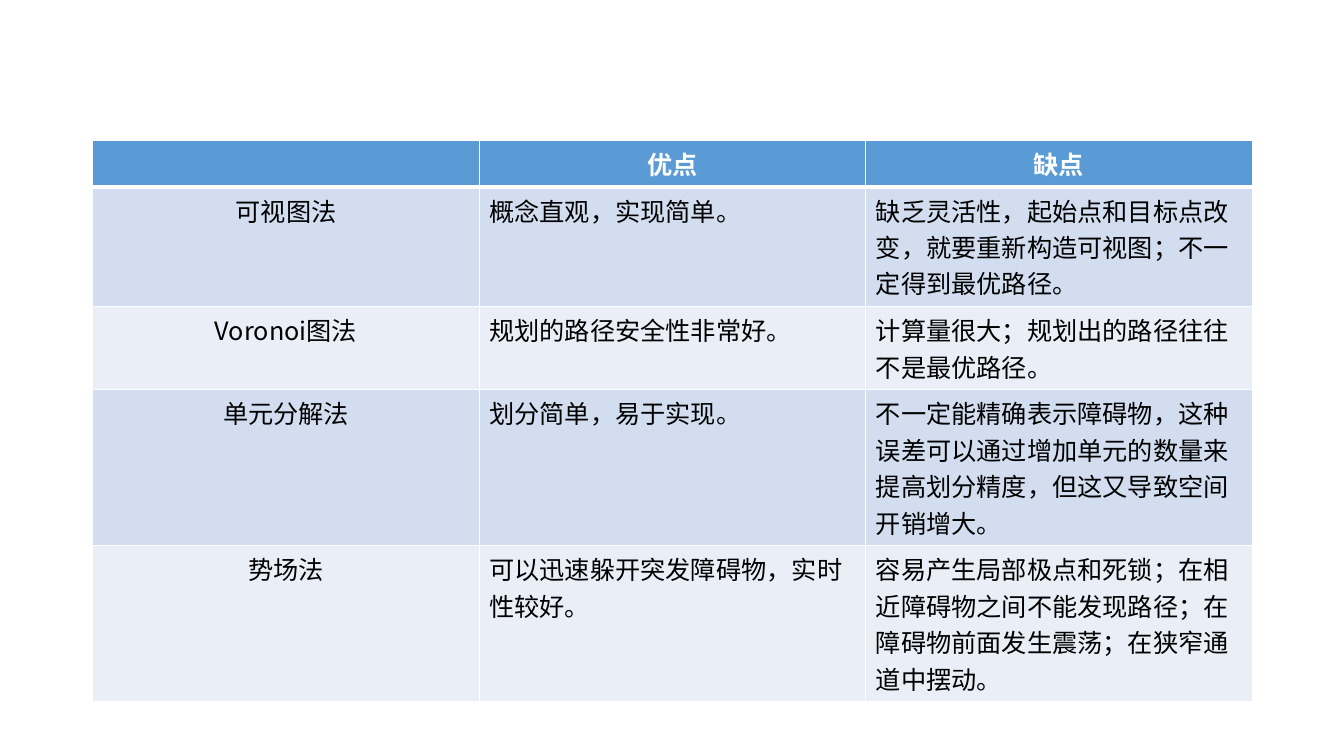
from lxml.etree import SubElement
from pptx import Presentation
from pptx.dml.color import RGBColor
from pptx.enum.text import PP_ALIGN as Align
from pptx.oxml.ns import qn
from pptx.util import Inches, Pt

FONT = "Noto Sans CJK SC"
HEADER_FILL, BAND_FILLS = "5B9BD5", ("D2DEEF", "EAEFF7")
METHODS = [
    ("", "优点", "缺点"),
    ("可视图法", "概念直观，实现简单。",
     "缺乏灵活性，起始点和目标点改变，就要重新构造可视图；不一定得到最优路径。"),
    ("Voronoi图法", "规划的路径安全性非常好。",
     "计算量很大；规划出的路径往往不是最优路径。"),
    ("单元分解法", "划分简单，易于实现。",
     "不一定能精确表示障碍物，这种误差可以通过增加单元的数量来提高划分精度，但这又导致空间开销增大。"),
    ("势场法", "可以迅速躲开突发障碍物，实时性较好。",
     "容易产生局部极点和死锁；在相近障碍物之间不能发现路径；在障碍物前面发生震荡；在狭窄通道中摆动。"),
]
ROW_HEIGHTS = (0.42, 1, 0.68, 0.42, 0.42)  # rows grow to fit their text
TABLE_WIDTH = 11.5


def color(value):
    return RGBColor.from_string(value)


def add_borders(cell, widths):
    """Draw white cell edges; widths maps an edge tag to points."""
    props = cell._tc.get_or_add_tcPr()
    for position, (edge, width) in enumerate(widths.items()):
        line = props.makeelement(qn(f"a:{edge}"), {"w": str(Pt(width))})
        fill = SubElement(line, qn("a:solidFill"))
        SubElement(fill, qn("a:srgbClr"), val="FFFFFF")
        props.insert(position, line)


deck = Presentation()
deck.slide_width, deck.slide_height = Inches(13.33), Inches(7.5)
page = deck.slides.add_slide(deck.slide_layouts[6])

table = page.shapes.add_table(
    len(METHODS), len(METHODS[0]), Inches(0.92), Inches(1.39),
    Inches(TABLE_WIDTH), Inches(sum(ROW_HEIGHTS))).table
for column in table.columns:
    column.width = Inches(TABLE_WIDTH / len(METHODS[0]))

for row, (texts, height) in enumerate(zip(METHODS, ROW_HEIGHTS)):
    header = row == 0
    table.rows[row].height = Inches(height)
    span_format = {"name": FONT, "size": Pt(18), "bold": header}
    for col, text in enumerate(texts):
        cell = table.cell(row, col)
        cell.fill.solid()
        cell.fill.fore_color.rgb = color(
            HEADER_FILL if header else BAND_FILLS[(row - 1) % 2])
        add_borders(cell, {"lnL": 1, "lnR": 1,
                           "lnT": 3 if row == 1 else 1,
                           "lnB": 3 if header else 1})
        if not text:
            continue
        para = cell.text_frame.paragraphs[0]
        para.alignment = Align.CENTER if header or col == 0 else Align.LEFT
        span = para.add_run()
        span.text = text
        for name, value in span_format.items():
            setattr(span.font, name, value)
        span.font.color.rgb = color("FFFFFF" if header else "000000")
        SubElement(span._r.get_or_add_rPr(), qn("a:ea"), typeface=FONT)

deck.save("out.pptx")
